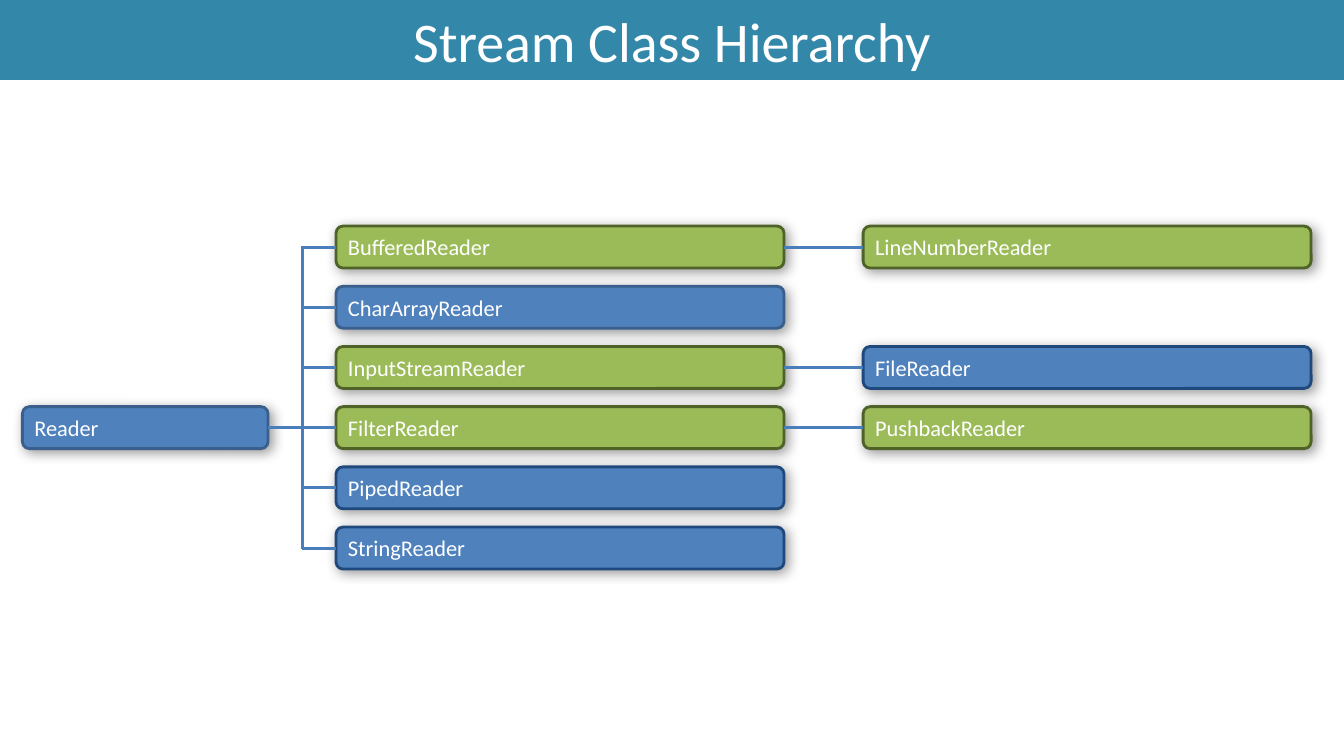
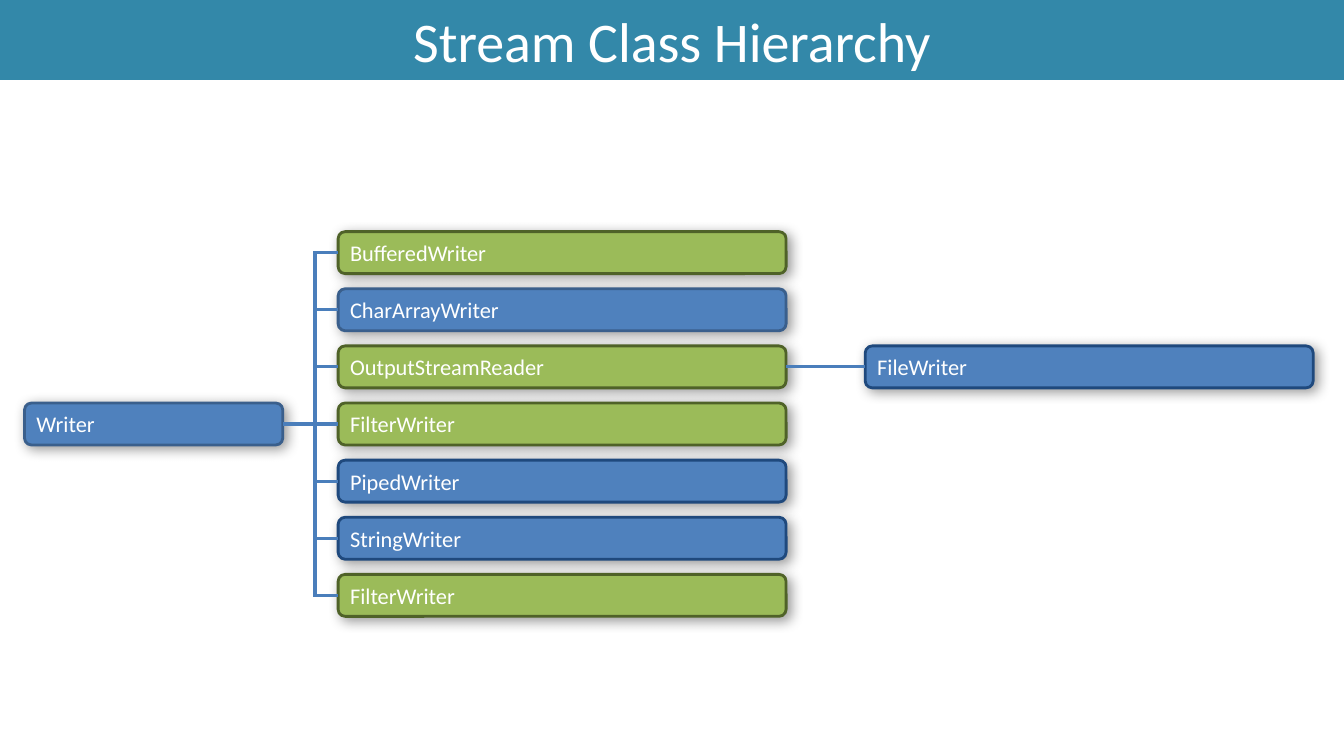
from lxml.etree import SubElement
from pptx import Presentation
from pptx.dml.color import RGBColor
from pptx.enum.shapes import MSO_CONNECTOR, MSO_SHAPE
from pptx.enum.text import MSO_ANCHOR, MSO_AUTO_SIZE, PP_ALIGN
from pptx.oxml.ns import qn
from pptx.util import Pt

COLORS = {
    "band": "3388A9",
    "text": "FFFFFF",
    "line": "4A7EBB",
    "blue": "4F81BD",
    "green": "9BBB59",
    "steel": "3A5F8C",
    "navy": "1F497D",
    "olive": "4F6228",
    "shadow": "000000",
}
# Box style: fill and outline
STYLES = {
    "memory": ("blue", "steel"),
    "sink": ("blue", "navy"),
    "filter": ("green", "olive"),
}
FONT = "Calibri"
BAND_HEIGHT = 57
BOX_WIDTH, BOX_HEIGHT = 320, 30
CHILD_OFFSET = 376.5
ROOT_ROW = 3

# Branches are (class, style); children are keyed by the row they extend.
HIERARCHIES = [
    {
        "root": "Reader", "root_left": 16, "root_width": 175.5,
        "trunk": 216, "left": 240, "top": 161.5, "pitch": 43,
        "branches": [
            ("BufferedReader", "filter"),
            ("CharArrayReader", "memory"),
            ("InputStreamReader", "filter"),
            ("FilterReader", "filter"),
            ("PipedReader", "sink"),
            ("StringReader", "sink"),
        ],
        "children": {
            0: ("LineNumberReader", "filter"),
            2: ("FileReader", "sink"),
            3: ("PushbackReader", "filter"),
        },
    },
    {
        "root": "Writer", "root_left": 17.5, "root_width": 184.5,
        "trunk": 225, "left": 241.5, "top": 165.5, "pitch": 40.8,
        "branches": [
            ("BufferedWriter", "filter"),
            ("CharArrayWriter", "memory"),
            ("OutputStreamReader", "filter"),
            ("FilterWriter", "filter"),
            ("PipedWriter", "sink"),
            ("StringWriter", "sink"),
            ("FilterWriter", "filter"),
        ],
        "children": {2: ("FileWriter", "sink")},
    },
]


def add_box(slide, name, style, left, top, width=BOX_WIDTH,
            preset=MSO_SHAPE.ROUNDED_RECTANGLE):
    """Add a class box with a soft shadow to the lower right."""
    shape = slide.shapes.add_shape(
        preset, Pt(left), Pt(top), Pt(width), Pt(BOX_HEIGHT))
    fill, outline = STYLES[style]
    shape.fill.solid()
    shape.fill.fore_color.rgb = RGBColor.from_string(COLORS[fill])
    shape.line.color.rgb = RGBColor.from_string(COLORS[outline])
    shape.line.width = Pt(2)

    shape.shadow.inherit = False
    effects = shape._element.spPr.find(qn("a:effectLst"))
    shadow = SubElement(
        effects, qn("a:outerShdw"), blurRad=str(Pt(9)), dist=str(Pt(3)),
        dir="2700000", algn="tl", rotWithShape="0")
    color = SubElement(shadow, qn("a:srgbClr"), val=COLORS["shadow"])
    SubElement(color, qn("a:alpha"), val="40000")

    frame = shape.text_frame
    frame.text = name
    frame.vertical_anchor = MSO_ANCHOR.MIDDLE
    paragraph = frame.paragraphs[0]
    paragraph.alignment = PP_ALIGN.LEFT
    paragraph.font.name = FONT
    paragraph.font.size = Pt(16)
    paragraph.font.color.rgb = RGBColor.from_string(COLORS["text"])
    return shape


def add_line(slide, x1, y1, x2, y2, begin=None, end=None):
    """Add a line, joined to the right of begin and the left of end."""
    line = slide.shapes.add_connector(
        MSO_CONNECTOR.STRAIGHT, Pt(x1), Pt(y1), Pt(x2), Pt(y2))
    line.line.color.rgb = RGBColor.from_string(COLORS["line"])
    line.line.width = Pt(2.25)
    SubElement(line._element.spPr, qn("a:effectLst"))
    if begin is not None:
        line.begin_connect(begin, 3)
    if end is not None:
        line.end_connect(end, 1)


presentation = Presentation()
presentation.slide_width = Pt(960)
presentation.slide_height = Pt(540)
title_only = presentation.slide_layouts[5]

for tree in HIERARCHIES:
    slide = presentation.slides.add_slide(title_only)

    title = slide.shapes.title
    title.left, title.top = Pt(0), Pt(0)
    title.width, title.height = presentation.slide_width, Pt(BAND_HEIGHT)
    title.fill.solid()
    title.fill.fore_color.rgb = RGBColor.from_string(COLORS["band"])
    frame = title.text_frame
    frame.text = "Stream Class Hierarchy"
    frame.auto_size = MSO_AUTO_SIZE.NONE
    frame.vertical_anchor = MSO_ANCHOR.MIDDLE
    paragraph = frame.paragraphs[0]
    paragraph.alignment = PP_ALIGN.CENTER
    paragraph.font.name = FONT
    paragraph.font.size = Pt(40)
    paragraph.font.color.rgb = RGBColor.from_string(COLORS["text"])

    left, trunk = tree["left"], tree["trunk"]
    tops = [tree["top"] + row * tree["pitch"]
            for row in range(len(tree["branches"]))]
    middles = [top + BOX_HEIGHT / 2 for top in tops]

    root = add_box(slide, tree["root"], "memory", tree["root_left"],
                   tops[ROOT_ROW], tree["root_width"],
                   MSO_SHAPE.FLOWCHART_ALTERNATE_PROCESS)
    add_line(slide, trunk, middles[0] - 1, trunk, middles[-1] + 1)

    for row, (name, style) in enumerate(tree["branches"]):
        middle = middles[row]
        branch = add_box(slide, name, style, left, tops[row])
        add_line(slide, trunk, middle, left, middle,
                 begin=root if row == ROOT_ROW else None, end=branch)
        if row in tree["children"]:
            child_left = left + CHILD_OFFSET
            child = add_box(slide, *tree["children"][row], child_left, tops[row])
            add_line(slide, left + BOX_WIDTH, middle, child_left, middle,
                     begin=branch, end=child)

presentation.save("out.pptx")
